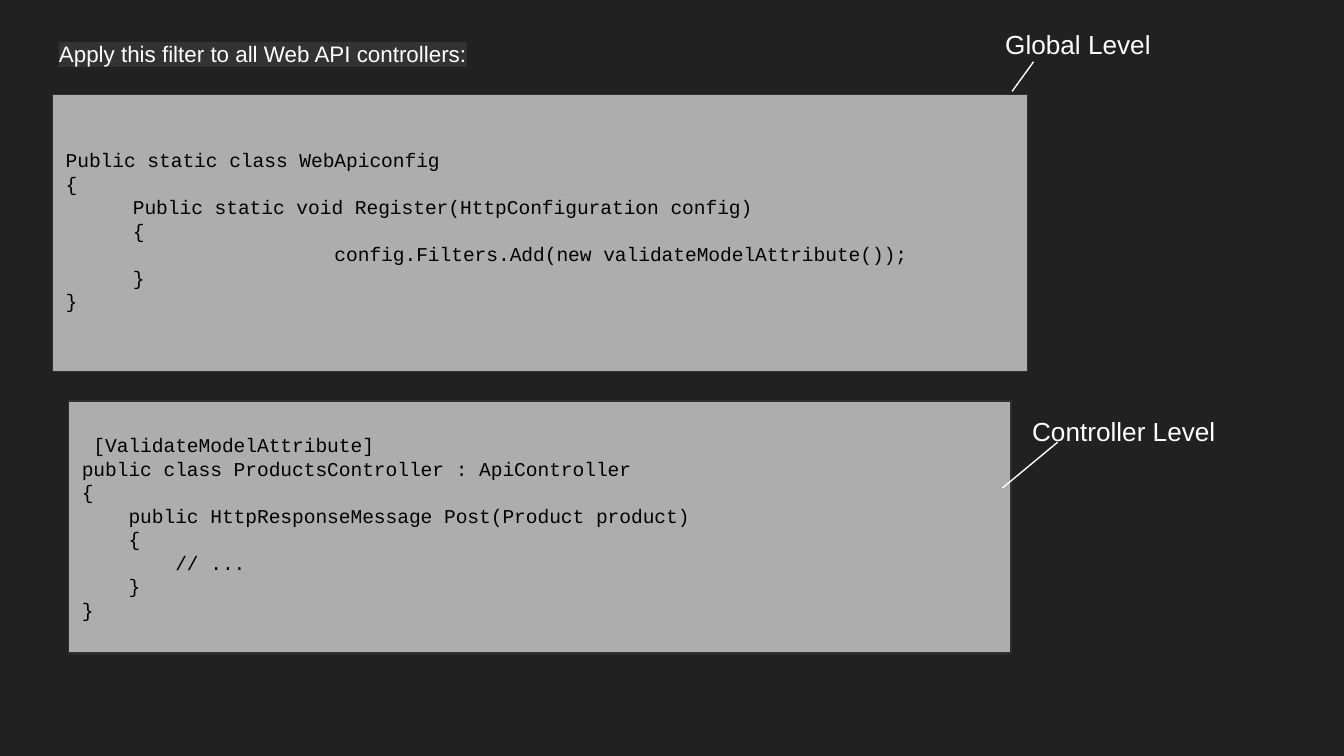
import pptx
import pptx.dml.color
import pptx.enum.shapes
import pptx.enum.text
import pptx.oxml.ns
import pptx.util
from lxml import etree

Pt = pptx.util.Pt
INSET = 7.2

GLOBAL_CODE = [
    (0, "Public static class WebApiconfig"),
    (0, "{"),
    (36, "Public static void Register(HttpConfiguration config)"),
    (36, "{"),
    (144, "config.Filters.Add(new validateModelAttribute());"),
    (36, "}"),
    (0, "}"),
]
CONTROLLER_CODE = [
    (0, " [ValidateModelAttribute]"),
    (0, "public class ProductsController : ApiController"),
    (0, "{"),
    (0, "    public HttpResponseMessage Post(Product product)"),
    (0, "    {"),
    (0, "        // ..."),
    (0, "    }"),
    (0, "}"),
]


def color(value):
    return pptx.dml.color.RGBColor.from_string(value)


def set_frame(frame, anchor, bottom=INSET):
    frame.word_wrap = True
    frame.vertical_anchor = anchor
    frame.margin_left = frame.margin_top = frame.margin_right = Pt(INSET)
    frame.margin_bottom = Pt(bottom)


def style(para, font, size, ink):
    para.alignment = pptx.enum.text.PP_ALIGN.LEFT
    para.font.name = font
    para.font.size = Pt(size)
    para.font.color.rgb = color(ink)


def add_label(page, bounds, text, size):
    box = page.shapes.add_textbox(*map(Pt, bounds))
    set_frame(box.text_frame, pptx.enum.text.MSO_ANCHOR.TOP)
    para = box.text_frame.paragraphs[0]
    para.text = text
    style(para, "Arial", size, "FFFFFF")
    return para


def add_heading(page, bounds):
    para = add_label(page, bounds, "Apply this filter to all Web API controllers:", 12)
    para.line_spacing = 1.15
    qn = pptx.oxml.ns.qn
    properties = para.runs[0].font._element if hasattr(para.runs[0].font, "_element") \
        else para.runs[0]._r.get_or_add_rPr()
    highlight = etree.SubElement(properties, qn("a:highlight"))
    etree.SubElement(highlight, qn("a:srgbClr"), val="333333")


def add_code_panel(page, bounds, lines, bottom=INSET):
    """Draw a grey panel of code; each line is an indent in points and its text."""
    panel = page.shapes.add_shape(
        pptx.enum.shapes.MSO_SHAPE.RECTANGLE, *map(Pt, bounds))
    panel.shadow.inherit = False
    panel.fill.solid()
    panel.fill.fore_color.rgb = color("ADADAD")
    panel.line.color.rgb = color("303030")
    panel.line.width = Pt(0.75)
    frame = panel.text_frame
    set_frame(frame, pptx.enum.text.MSO_ANCHOR.MIDDLE, bottom)
    for number, (indent, text) in enumerate(lines):
        para = frame.add_paragraph() if number else frame.paragraphs[0]
        para.text = text
        para._p.get_or_add_pPr().set("marL", str(Pt(indent)))
        style(para, "Courier New", 10.5, "000000")


def add_pointer(page, start, end):
    pointer = page.shapes.add_connector(
        pptx.enum.shapes.MSO_CONNECTOR.STRAIGHT, *map(Pt, start + end))
    pointer.line.color.rgb = color("FFFFFF")
    pointer.line.width = Pt(0.75)
    etree.SubElement(pointer._element.spPr, pptx.oxml.ns.qn("a:effectLst"))


def main():
    deck = pptx.Presentation()
    deck.slide_width, deck.slide_height = Pt(720), Pt(405)
    page = deck.slides.add_slide(deck.slide_layouts[6])
    page.background.fill.solid()
    page.background.fill.fore_color.rgb = color("212121")

    add_heading(page, (24.5, 12.2, 671, 348))
    add_code_panel(page, (28.1, 50.7, 522.5, 148.3), GLOBAL_CODE, bottom=10)
    add_code_panel(page, (36.7, 214.8, 505, 135), CONTROLLER_CODE)
    add_label(page, (531.4, 7.9, 112.3, 27.4), "Global Level", 14)
    add_label(page, (545.8, 215.3, 142.6, 27.4), "Controller Level", 14)
    add_pointer(page, (553.7, 33.1), (542.2, 49))
    add_pointer(page, (566.6, 236.9), (537.1, 261.4))
    deck.save("out.pptx")


if __name__ == "__main__":
    main()
